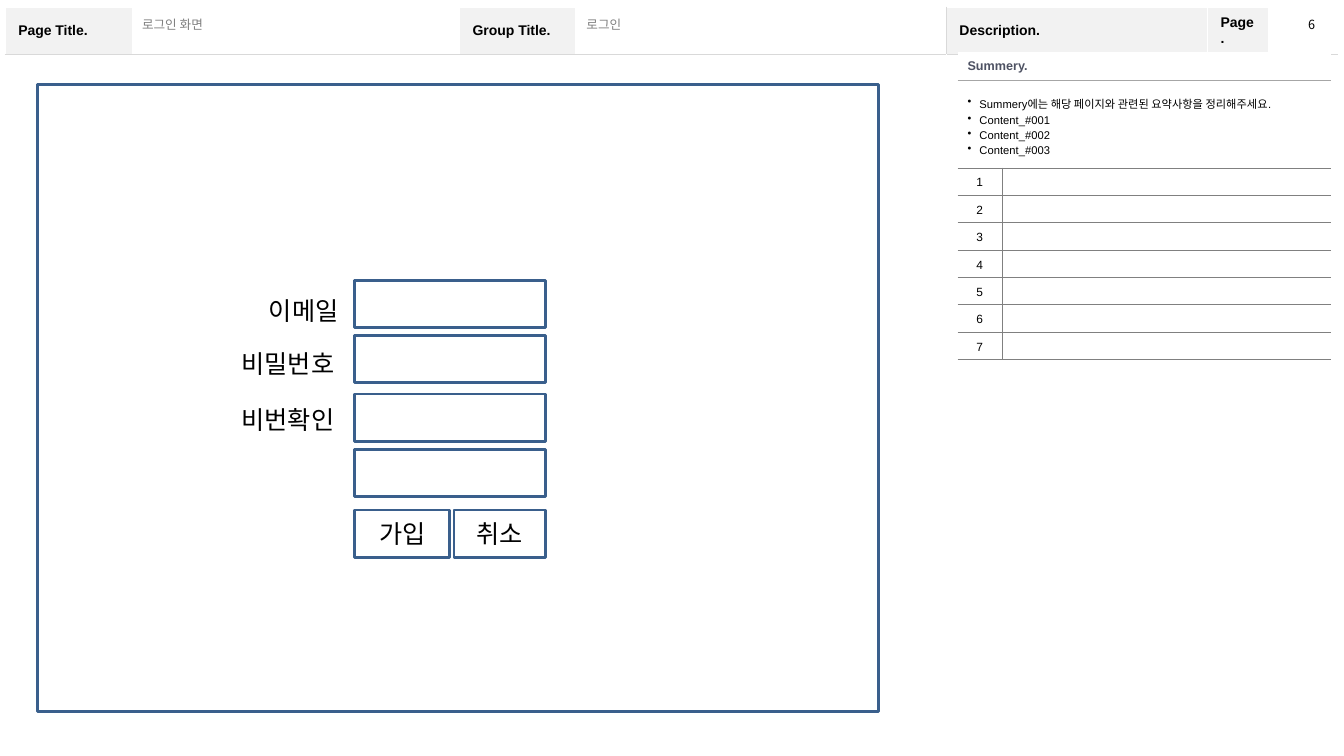
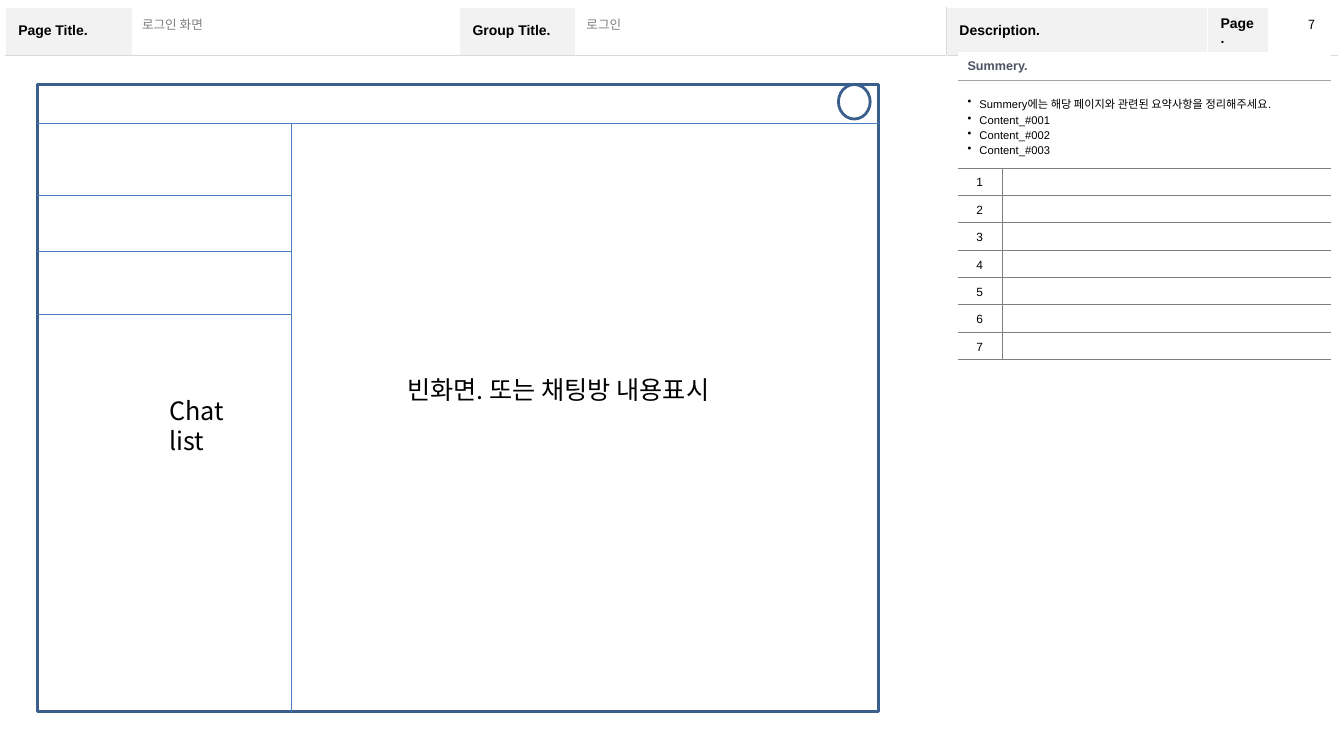
from lxml.etree import SubElement
from pptx import Presentation
from pptx.dml.color import RGBColor
from pptx.enum.shapes import MSO_CONNECTOR, MSO_SHAPE
from pptx.enum.text import MSO_ANCHOR, PP_ALIGN
from pptx.oxml.ns import qn
from pptx.util import Cm, Pt

SANS, KOREAN = "Arial", "Noto Sans CJK KR"
BLACK, WHITE, GREY, PALE, BAND = "000000", "FFFFFF", "808080", "D9D9D9", "F2F2F2"
OUTLINE, DIVIDER = "3A5F8C", "4B7EBC"
NO_STYLE = "{2D5ABB26-0587-4C30-8999-92F81FD0307C}"

HEADING = {"name": SANS, "size": Pt(10), "bold": True}
ENTRY = {"name": SANS, "size": Pt(9), "bold": False}
SUMMARY_TITLE = {"name": SANS, "size": Pt(9), "bold": True}
SUMMARY_TEXT = {"name": SANS, "size": Pt(8), "bold": False}
NUMBER = {"name": SANS, "size": Pt(8.5), "bold": False}
PAGE_NUMBER = {"name": KOREAN, "size": Pt(9), "bold": False}
LABEL = {"name": KOREAN, "size": Pt(18), "bold": False}
CENTRED = {"alignment": PP_ALIGN.CENTER}
SPACED = {"alignment": PP_ALIGN.CENTER, "line_spacing": 1.2}
JUSTIFIED = {"alignment": PP_ALIGN.JUSTIFY, "line_spacing": 1.2}

HEADINGS = ["Page Title.", "", "Group Title.", "", "Description.", "Page.", ""]
HEADER_COLUMNS = [3.2, 8.25, 2.92, 9.35, 6.58, 1.55, 1.73]
HEADER_ROWS = [1.19, 16.94]
DESCRIPTION_COLUMN = 4
ENTRIES = [("로그인 화면", 3.33, 8.23), ("로그인", 14.53, 9.25)]
SUMMARY = [
    "Summery에는 해당 페이지와 관련된 요약사항을 정리해주세요.",
    "Content_#001",
    "Content_#002",
    "Content_#003",
]
NOTE_COUNT = 7
NOTE_COLUMNS = [1.12, 8.28]
NOTE_ROWS = [0.71, 2.2] + [0.69] * NOTE_COUNT

FRAME_LEFT, FRAME_TOP, FRAME_WIDTH, FRAME_HEIGHT = 0.94, 2.13, 21.21, 15.8
FRAME_RIGHT, FRAME_BOTTOM = FRAME_LEFT + FRAME_WIDTH, FRAME_TOP + FRAME_HEIGHT
FIELD_LEFT, FIELD_WIDTH, FIELD_HEIGHT = 8.94, 4.8, 1.19
FIELD_TOPS = [7.06, 8.46, 9.93, 11.33]
BUTTON_TOP = 12.85
BUTTONS = [("가입", 8.94, 2.4), ("취소", 11.44, 2.3)]
FIELD_LABELS = [
    ("이메일", 6.53, 7.32, 2.44),
    ("비밀번호", 5.84, 8.66, 3.07),
    ("비번확인", 5.84, 10.06, 3.07),
]
SIDEBAR_RIGHT, TOOLBAR_BOTTOM = 7.34, 3.12
SIDEBAR_ROWS = [4.93, 6.33, 7.93]
AREA_LABELS = [
    ("Chat list", 4.01, 9.83, 2.87),
    ("빈화면. 또는 채팅방 내용표시", 10.01, 9.32, 9.04),
]


def colour(value):
    return RGBColor.from_string(value)


def apply(target, values):
    for name, value in values.items():
        setattr(target, name, value)


def write(paragraph, text, style, ink=BLACK, layout=None):
    apply(paragraph, layout or {})
    if not text:
        SubElement(paragraph._p, qn("a:endParaRPr"), sz="800")
        return
    run = paragraph.add_run()
    run.text = text
    apply(run.font, style)
    run.font.color.rgb = colour(ink)


def add_bullet(paragraph):
    properties = paragraph._p.get_or_add_pPr()
    properties.set("marL", str(Cm(0.3)))
    properties.set("indent", str(-Cm(0.3)))
    SubElement(properties, qn("a:buChar"), char="•")


def dress(cell, borders, fill=None):
    properties = cell._tc.get_or_add_tcPr()
    for side in "LRTB":
        ink, width = borders.get(side, (None, 0))
        edge = SubElement(properties, qn("a:ln" + side), w=str(Pt(width)))
        if ink:
            solid = SubElement(edge, qn("a:solidFill"))
            SubElement(solid, qn("a:srgbClr"), val=ink)
        else:
            SubElement(edge, qn("a:noFill"))
    if fill:
        cell.fill.solid()
        cell.fill.fore_color.rgb = colour(fill)
    else:
        cell.fill.background()
    cell.vertical_anchor = MSO_ANCHOR.MIDDLE


def add_grid(slide, left, top, columns, rows):
    frame = slide.shapes.add_table(
        len(rows), len(columns), Cm(left), Cm(top), Cm(sum(columns)), Cm(sum(rows)))
    grid = frame.table
    apply(grid, {"first_row": False, "horz_banding": False})
    grid._tbl.tblPr.find(qn("a:tableStyleId")).text = NO_STYLE
    for column, width in zip(grid.columns, columns):
        column.width = Cm(width)
    for row, height in zip(grid.rows, rows):
        row.height = Cm(height)
    return grid


def add_header(slide):
    grid = add_grid(slide, 0.13, 0.18, HEADER_COLUMNS, HEADER_ROWS)
    blank, rule = (WHITE, 1), (PALE, 0.25)
    margins = {"margin_left": Cm(0.33), "margin_right": Cm(0.33),
               "margin_top": Cm(0.18), "margin_bottom": Cm(0.18)}
    for index, heading in enumerate(HEADINGS):
        sides = {"L": rule if index == DESCRIPTION_COLUMN else blank,
                 "R": rule if index == DESCRIPTION_COLUMN - 1 else blank}
        title, body = grid.cell(0, index), grid.cell(1, index)
        dress(title, {**sides, "T": blank, "B": rule}, BAND if heading else None)
        dress(body, {**sides, "T": rule, "B": blank})
        apply(title, margins)
        write(title.text_frame.paragraphs[0], heading, HEADING)
        write(body.text_frame.paragraphs[0], "", HEADING)
    grid.cell(1, 0).merge(grid.cell(1, DESCRIPTION_COLUMN - 1))
    grid.cell(1, DESCRIPTION_COLUMN).merge(grid.cell(1, len(HEADINGS) - 1))


def add_description(slide):
    grid = add_grid(slide, 24.13, 1.32, NOTE_COLUMNS, NOTE_ROWS)
    light, rule = ("A6A6A6", 0.25), (GREY, 0.25)
    for column in range(len(NOTE_COLUMNS)):
        dress(grid.cell(0, column), {"B": light}, WHITE)
        dress(grid.cell(1, column), {"T": light, "B": rule})
    for row in (0, 1):
        write(grid.cell(row, 1).text_frame.paragraphs[0], "", NUMBER)
        grid.cell(row, 0).merge(grid.cell(row, 1))
    write(grid.cell(0, 0).text_frame.paragraphs[0], "Summery.", SUMMARY_TITLE, "4E5263")
    summary = grid.cell(1, 0).text_frame
    for index, line in enumerate(SUMMARY):
        paragraph = summary.add_paragraph() if index else summary.paragraphs[0]
        write(paragraph, line, SUMMARY_TEXT, layout=JUSTIFIED)
        add_bullet(paragraph)
    for number in range(1, NOTE_COUNT + 1):
        label, note = grid.cell(number + 1, 0), grid.cell(number + 1, 1)
        dress(label, {"T": rule, "R": rule, "B": rule})
        dress(note, {"L": rule, "T": rule, "B": rule})
        write(label.text_frame.paragraphs[0], str(number), NUMBER, layout=SPACED)
        write(note.text_frame.paragraphs[0], "", NUMBER)


def add_label(slide, text, left, top, width, height=1.02, style=LABEL, ink=BLACK,
              anchor=MSO_ANCHOR.TOP, wrap=True):
    frame = slide.shapes.add_textbox(Cm(left), Cm(top), Cm(width), Cm(height)).text_frame
    apply(frame, {"word_wrap": wrap, "vertical_anchor": anchor})
    write(frame.paragraphs[0], text, style, ink)


def add_outline(slide, left, top, width, height, text="", kind=MSO_SHAPE.RECTANGLE):
    outline = slide.shapes.add_shape(kind, Cm(left), Cm(top), Cm(width), Cm(height))
    outline.shadow.inherit = False
    outline.fill.background()
    outline.line.color.rgb = colour(OUTLINE)
    outline.line.width = Pt(2)
    if text:
        outline.text_frame.vertical_anchor = MSO_ANCHOR.MIDDLE
        write(outline.text_frame.paragraphs[0], text, LABEL, layout=CENTRED)


def add_divider(slide, x1, y1, x2, y2):
    divider = slide.shapes.add_connector(
        MSO_CONNECTOR.STRAIGHT, Cm(x1), Cm(y1), Cm(x2), Cm(y2))
    divider.line.color.rgb = colour(DIVIDER)
    divider.line.width = Pt(0.75)
    SubElement(divider._element.spPr, qn("a:effectLst"))


def add_page(deck, number):
    slide = deck.slides.add_slide(deck.slide_layouts[6])
    add_header(slide)
    for text, left, width in ENTRIES:
        add_label(slide, text, left, 0.3, width, 0.61, ENTRY, GREY, MSO_ANCHOR.MIDDLE)
    add_description(slide)
    add_label(slide, str(number), 32.72, 0.3, 0.69, 0.64, PAGE_NUMBER, wrap=False)
    add_outline(slide, FRAME_LEFT, FRAME_TOP, FRAME_WIDTH, FRAME_HEIGHT)
    return slide


def add_sign_up(slide):
    for top in FIELD_TOPS:
        add_outline(slide, FIELD_LEFT, top, FIELD_WIDTH, FIELD_HEIGHT)
    for text, left, width in BUTTONS:
        add_outline(slide, left, BUTTON_TOP, width, FIELD_HEIGHT, text)
    for label in FIELD_LABELS:
        add_label(slide, *label)


def add_chat(slide):
    add_divider(slide, SIDEBAR_RIGHT, TOOLBAR_BOTTOM, SIDEBAR_RIGHT, FRAME_BOTTOM)
    add_divider(slide, FRAME_LEFT, TOOLBAR_BOTTOM, FRAME_RIGHT, TOOLBAR_BOTTOM)
    for y in SIDEBAR_ROWS:
        add_divider(slide, FRAME_LEFT, y, SIDEBAR_RIGHT, y)
    add_outline(slide, 21.13, FRAME_TOP, 0.8, 0.87, kind=MSO_SHAPE.OVAL)
    for label in AREA_LABELS:
        add_label(slide, *label)


def main():
    deck = Presentation()
    apply(deck, {"slide_width": Cm(33.87), "slide_height": Cm(19.05)})
    for number, add_screen in enumerate((add_sign_up, add_chat), start=6):
        add_screen(add_page(deck, number))
    deck.save("out.pptx")


if __name__ == "__main__":
    main()
